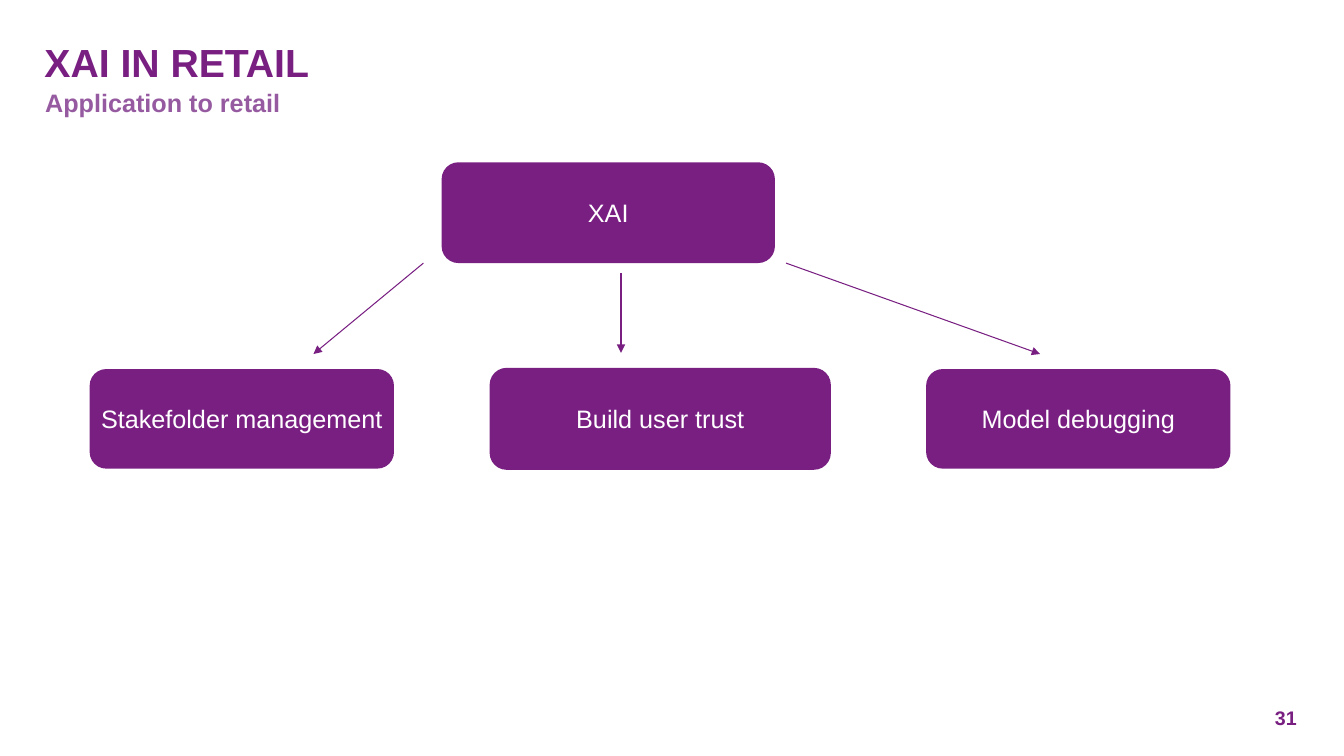
from lxml.etree import SubElement
from pptx import Presentation
from pptx.dml.color import RGBColor
from pptx.enum.shapes import MSO_CONNECTOR as Line, MSO_SHAPE as Shape
from pptx.enum.text import MSO_ANCHOR as Anchor, MSO_AUTO_SIZE as AutoSize, PP_ALIGN as Align
from pptx.oxml.ns import qn
from pptx.util import Cm, Pt

COLOURS = {"purple": "791F82", "lilac": "965AA0", "white": "FFFFFF"}


def colour(name):
    return RGBColor.from_string(COLOURS[name])


def lengths(*values):
    return [Cm(value) for value in values]


def write(holder, text, size, ink, bold=True, anchor=Anchor.TOP, align=Align.LEFT, spacing=1.0):
    frame = holder.text_frame
    frame_format = {
        "margin_left": 0, "margin_top": 0, "margin_right": 0, "margin_bottom": 0,
        "word_wrap": True, "auto_size": AutoSize.NONE, "vertical_anchor": anchor,
    }
    for key, value in frame_format.items():
        setattr(frame, key, value)
    frame.text = text
    paragraph = frame.paragraphs[0]
    paragraph.alignment = align
    paragraph.line_spacing = spacing
    font = paragraph.runs[0].font
    for key, value in {"name": "Arial", "size": Pt(size), "bold": bold}.items():
        setattr(font, key, value)
    font.color.rgb = colour(ink)


def add_heading(slide, text, place):
    heading = slide.shapes.title
    for key, value in zip(("left", "top", "width", "height"), lengths(*place)):
        setattr(heading, key, value)
    write(heading, text, 28, "purple", anchor=Anchor.BOTTOM)


def add_label(slide, text, place, size, ink, **layout):
    write(slide.shapes.add_textbox(*lengths(*place)), text, size, ink, **layout)


def add_topic(slide, text, place):
    topic = slide.shapes.add_shape(Shape.ROUNDED_RECTANGLE, *lengths(*place))
    topic.shadow.inherit = False
    topic.fill.solid()
    topic.fill.fore_color.rgb = colour("purple")
    topic.line.fill.background()
    write(topic, text, 18, "white", bold=False, anchor=Anchor.MIDDLE, align=Align.CENTER)


def add_arrow(slide, start, end):
    arrow = slide.shapes.add_connector(Line.STRAIGHT, *lengths(*start, *end))
    arrow.line.color.rgb = colour("purple")
    arrow.line.width = Pt(0.75)
    SubElement(arrow.line._get_or_add_ln(), qn("a:tailEnd"), type="triangle")
    SubElement(arrow._element.spPr, qn("a:effectLst"))


def main():
    deck = Presentation()
    deck.slide_width, deck.slide_height = lengths(33.87, 19.05)
    slide = deck.slides.add_slide(deck.slide_layouts[5])

    add_heading(slide, "XAI IN RETAIL", (1.12, 0.74, 31.55, 1.4))
    add_label(slide, "Application to retail", (1.14, 2.06, 31.52, 1.19), 18, "lilac", spacing=1.2)
    add_label(slide, "31", (32.13, 17.86, 0.91, 0.53), 14, "purple", anchor=Anchor.BOTTOM)

    add_topic(slide, "XAI", (11.13, 4.09, 8.4, 2.54))
    uses = {
        "Stakefolder management": (2.26, 9.3, 7.67, 2.51),
        "Build user trust": (12.34, 9.27, 8.6, 2.57),
        "Model debugging": (23.34, 9.3, 7.67, 2.51),
    }
    for use, place in uses.items():
        add_topic(slide, use, place)

    arrows = [
        ((10.67, 6.63), (7.9, 8.92)),
        ((15.65, 6.88), (15.65, 8.89)),
        ((19.81, 6.63), (26.21, 8.92)),
    ]
    for start, end in arrows:
        add_arrow(slide, start, end)

    deck.save("out.pptx")


if __name__ == "__main__":
    main()
